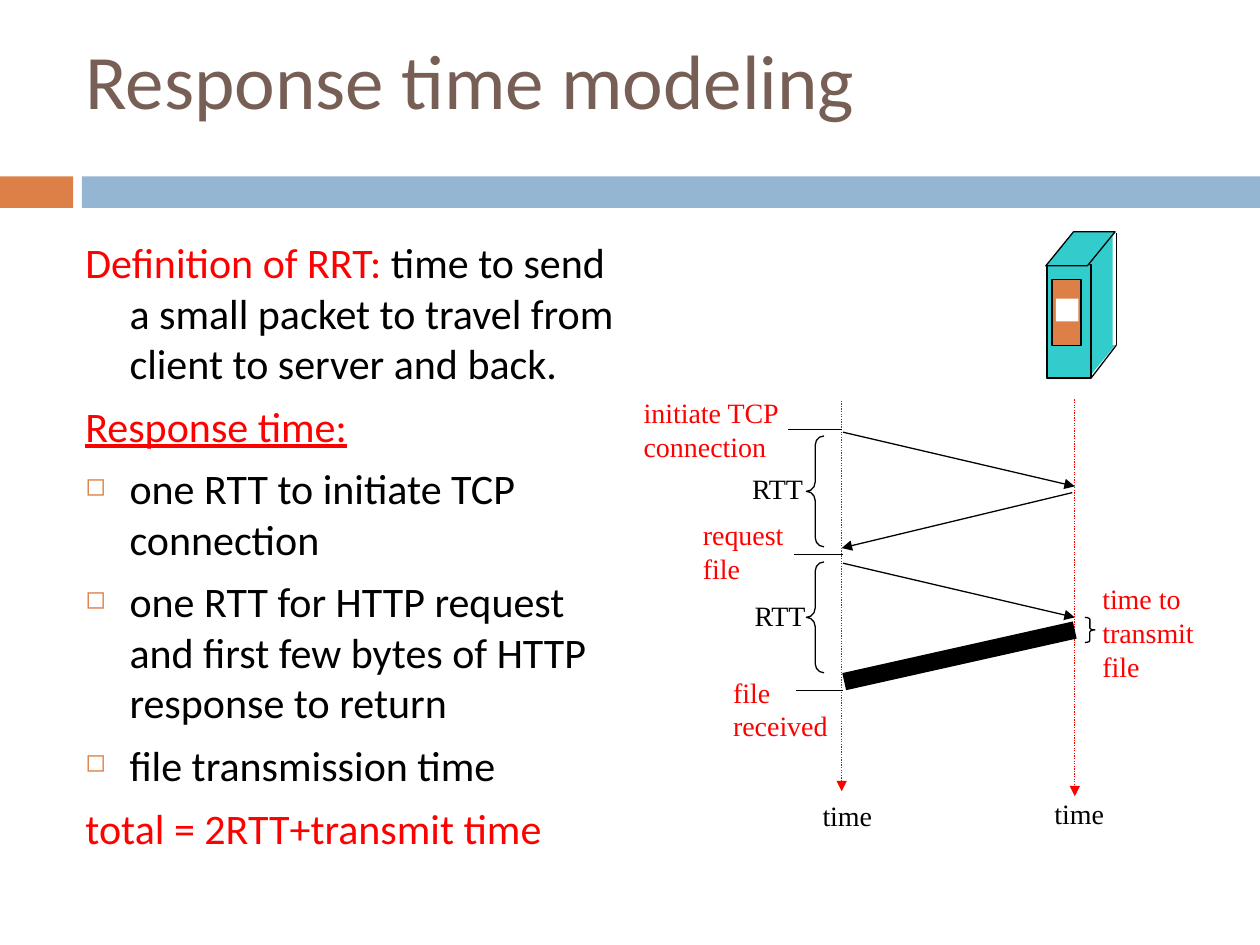
"""Build the slide on response time modeling with its TCP timing diagram."""
from lxml import etree
from pptx import Presentation
from pptx.dml.color import RGBColor
from pptx.enum import dml, shapes, text
from pptx.oxml import ns
from pptx.util import Inches, Pt

BLACK, RED, TEAL, ORANGE = "000000", "FF0000", "33CCCC", "DD8047"
SHAPE = shapes.MSO_SHAPE

TITLE = "Response time modeling"
BODY = [
    (False, [("Definition of RRT:", RED, False),
             (" time to send a small packet to travel from client to server and back.", BLACK, False)]),
    (False, [("Response time:", RED, True)]),
    (True, [("one RTT to initiate TCP connection", BLACK, False)]),
    (True, [("one RTT for HTTP request and first few bytes of HTTP response to return", BLACK, False)]),
    (True, [("file transmission time", BLACK, False)]),
    (False, [("total = 2RTT+transmit time", RED, False)]),
]
BANDS = [
    (SHAPE.RECTANGLE, (0, 1.4, 0.58, 0.25), ORANGE, None, ()),
    (SHAPE.RECTANGLE, (0.65, 1.4, 9.35, 0.25), "94B6D2", None, ()),
]
SERVER = [
    (SHAPE.PARALLELOGRAM, (8.3, 2.74, 0.55, 0.27), TEAL, None, (0.814,)),
    (SHAPE.RECTANGLE, (8.58, 1.84, 0.25, 0.9), TEAL, None, ()),
    (SHAPE.RECTANGLE, (8.31, 2.1, 0.35, 0.9), TEAL, BLACK, ()),
    (SHAPE.PARALLELOGRAM, (8.3, 1.84, 0.55, 0.27), TEAL, BLACK, (0.814,)),
    (SHAPE.RECTANGLE, (8.35, 2.22, 0.23, 0.52), ORANGE, BLACK, ()),
    (SHAPE.RECTANGLE, (8.38, 2.37, 0.18, 0.18), "FFFFFF", None, ()),
]
BRACES = [
    (SHAPE.RIGHT_BRACE, (8.61, 4.9, 0.08, 0.2), None, BLACK, (0.204, 0.5)),
    (SHAPE.LEFT_BRACE, (6.4, 3.46, 0.14, 0.88), None, BLACK, (0.521, 0.5)),
    (SHAPE.LEFT_BRACE, (6.4, 4.46, 0.14, 0.88), None, BLACK, (0.521, 0.5)),
]
SERVER_EDGES = [(8.86, 1.85, 8.86, 2.74), (8.86, 2.74, 8.66, 3)]
TIME_AXES = [(6.68, 3.18, 6.68, 6.28), (8.53, 3.17, 8.53, 6.32)]
MESSAGES = [(6.69, 3.43, 8.53, 3.86), (8.51, 3.91, 6.68, 4.35), (6.69, 4.47, 8.53, 4.9)]
FILE_TRANSFER = (8.53, 5, 6.7, 5.41)
TICKS = [(6.25, 3.41, 6.68, 3.41), (6.3, 4.4, 6.69, 4.4), (6.69, 5.48, 6.32, 5.48)]
LABELS = [
    ("time to\ntransmit\nfile", (8.65, 4.57, 0.99, 0.9), RED),
    ("initiate TCP\nconnection", (5.01, 3.09, 1.28, 0.64), RED),
    ("RTT", (5.87, 3.69, 0.62, 0.37), BLACK),
    ("request\nfile", (5.48, 4.06, 0.85, 0.64), RED),
    ("RTT", (5.89, 4.7, 0.62, 0.37), BLACK),
    ("file\nreceived", (5.72, 5.31, 0.96, 0.64), RED),
    ("time", (6.43, 6.29, 0.6, 0.37), BLACK),
    ("time", (8.27, 6.27, 0.6, 0.37), BLACK),
]


def color(value):
    return RGBColor.from_string(value)


def add_element(parent, tag, **attributes):
    return etree.SubElement(parent, ns.qn(tag), attributes)


def style_font(font, name, size, value):
    font.name, font.size = name, Pt(size)
    font.color.rgb = color(value)


def add_shape(slide, kind, box, fill, line, adjustments):
    shape = slide.shapes.add_shape(kind, *map(Inches, box))
    shape.shadow.inherit = False
    for index, value in enumerate(adjustments):
        shape.adjustments[index] = value
    if fill:
        shape.fill.solid()
        shape.fill.fore_color.rgb = color(fill)
    else:
        shape.fill.background()
    if line:
        shape.line.color.rgb = color(line)
        shape.line.width = Pt(0.75)
    else:
        shape.line.fill.background()


def add_line(slide, ends, value=BLACK, width=0.75, dotted=False, arrow=False):
    connector = slide.shapes.add_connector(shapes.MSO_CONNECTOR.STRAIGHT, *map(Inches, ends))
    connector.line.color.rgb = color(value)
    connector.line.width = Pt(width)
    if dotted:
        connector.line.dash_style = dml.MSO_LINE.ROUND_DOT
    if arrow:
        add_element(connector.line._get_or_add_ln(), "a:tailEnd", type="triangle")
    add_element(connector._element.spPr, "a:effectLst")


def add_text_frame(slide, box, wrap=True):
    frame = slide.shapes.add_textbox(*map(Inches, box)).text_frame
    frame.word_wrap = wrap
    return frame


def add_title(slide):
    frame = add_text_frame(slide, (0.58, 0, 8.5, 1.25))
    frame.vertical_anchor = text.MSO_ANCHOR.MIDDLE
    frame.text = TITLE
    style_font(frame.paragraphs[0].runs[0].font, "Calibri", 44, "775F55")


def add_body(slide):
    frame = add_text_frame(slide, (0.58, 1.83, 4.47, 5.08))
    for index, (bulleted, runs) in enumerate(BODY):
        paragraph = frame.add_paragraph() if index else frame.paragraphs[0]
        if index:
            paragraph.space_before = Pt(7)
        properties = paragraph._p.get_or_add_pPr()
        properties.set("marL", str(Inches(0.35)))
        properties.set("indent", str(Inches(-0.35)))
        if bulleted:
            add_element(add_element(properties, "a:buClr"), "a:srgbClr", val=ORANGE)
            add_element(properties, "a:buSzPct", val="60000")
            add_element(properties, "a:buChar", char="◻")
        else:
            add_element(properties, "a:buNone")
        for words, value, underlined in runs:
            run = paragraph.add_run()
            run.text = words
            style_font(run.font, "Calibri", 24, value)
            run.font.underline = underlined


def add_label(slide, words, box, value):
    frame = add_text_frame(slide, box, wrap=False)
    frame.auto_size = text.MSO_AUTO_SIZE.SHAPE_TO_FIT_TEXT
    frame.text = words
    for paragraph in frame.paragraphs:
        style_font(paragraph.runs[0].font, "Times New Roman", 16, value)


def main():
    presentation = Presentation()
    presentation.slide_width, presentation.slide_height = Inches(10), Inches(7.5)
    slide = presentation.slides.add_slide(presentation.slide_layouts[6])
    for band in BANDS:
        add_shape(slide, *band)
    add_title(slide)
    add_body(slide)
    for part in SERVER:
        add_shape(slide, *part)
    for ends in SERVER_EDGES:
        add_line(slide, ends)
    for ends in TIME_AXES:
        add_line(slide, ends, RED, dotted=True, arrow=True)
    for ends in MESSAGES:
        add_line(slide, ends, arrow=True)
    add_line(slide, FILE_TRANSFER, width=10)
    for ends in TICKS:
        add_line(slide, ends)
    for brace in BRACES:
        add_shape(slide, *brace)
    for label in LABELS:
        add_label(slide, *label)
    presentation.save("out.pptx")


if __name__ == "__main__":
    main()
